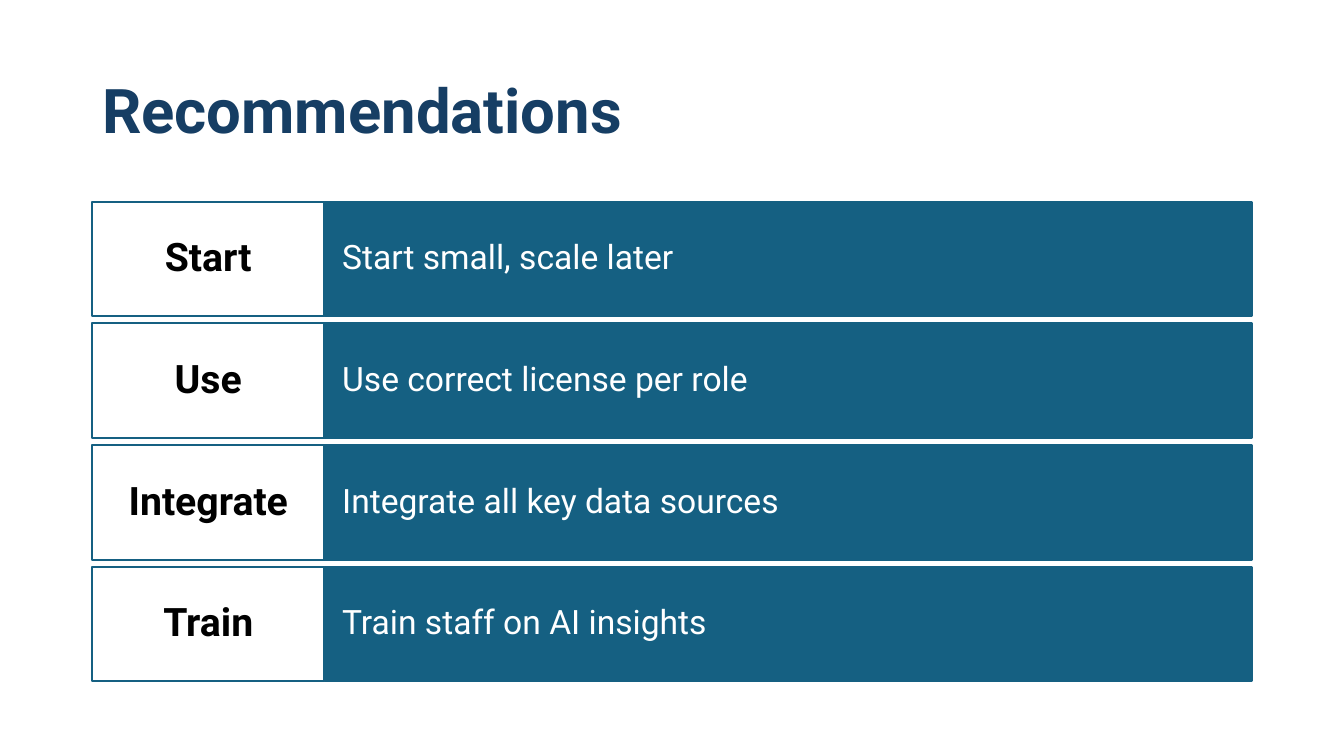
import pptx
import pptx.util
import pptx.dml.color
import pptx.enum.shapes
import pptx.enum.text

Pt = pptx.util.Pt
Align = pptx.enum.text.PP_ALIGN


class Theme:
    font = "Roboto"
    navy = pptx.dml.color.RGBColor.from_string("163E64")
    teal = pptx.dml.color.RGBColor.from_string("156082")
    white = pptx.dml.color.RGBColor.from_string("FFFFFF")
    black = pptx.dml.color.RGBColor.from_string("000000")
    title = 44
    label = 28
    body = 24


def write(shape, text, size, color, bold, align, pad):
    frame = shape.text_frame
    frame.word_wrap = True
    frame.vertical_anchor = pptx.enum.text.MSO_ANCHOR.MIDDLE
    frame.margin_left = frame.margin_right = Pt(pad)
    frame.margin_top = frame.margin_bottom = Pt(3.6)
    para = frame.paragraphs[0]
    para.text = text
    para.alignment = align
    para.line_spacing = 0.9
    para.font.name = Theme.font
    para.font.size = Pt(size)
    para.font.bold = bold
    para.font.color.rgb = color


def box(left, top, width, height, fill):
    shape = slide.shapes.add_shape(
        pptx.enum.shapes.MSO_SHAPE.RECTANGLE,
        Pt(left), Pt(top), Pt(width), Pt(height))
    shape.shadow.inherit = False
    shape.fill.solid()
    shape.fill.fore_color.rgb = fill
    shape.line.color.rgb = Theme.teal
    shape.line.width = Pt(1.5)
    return shape


deck = pptx.Presentation()
deck.slide_width = Pt(960)
deck.slide_height = Pt(540)
slide = deck.slides.add_slide(deck.slide_layouts[6])

# Title
left, width = 66, 828
title = slide.shapes.add_textbox(Pt(left), Pt(28.75), Pt(width), Pt(104.4))
write(title, "Recommendations", Theme.title, Theme.navy, True, Align.LEFT, 7.2)

# Rows: a label beside its advice
rows = [
    ("Start", "Start small, scale later"),
    ("Use", "Use correct license per role"),
    ("Integrate", "Integrate all key data sources"),
    ("Train", "Train staff on AI insights"),
]
first, step, height = 144, 86.9, 82
split = width / 5

for i, (label, advice) in enumerate(rows):
    top = first + i * step
    bar = box(left + split, top, width - split, height, Theme.teal)
    write(bar, advice, Theme.body, Theme.white, False, Align.LEFT, 12.85)
    tag = box(left, top, split, height, Theme.white)
    write(tag, label, Theme.label, Theme.black, True, Align.CENTER, 8.4)

deck.save("out.pptx")
